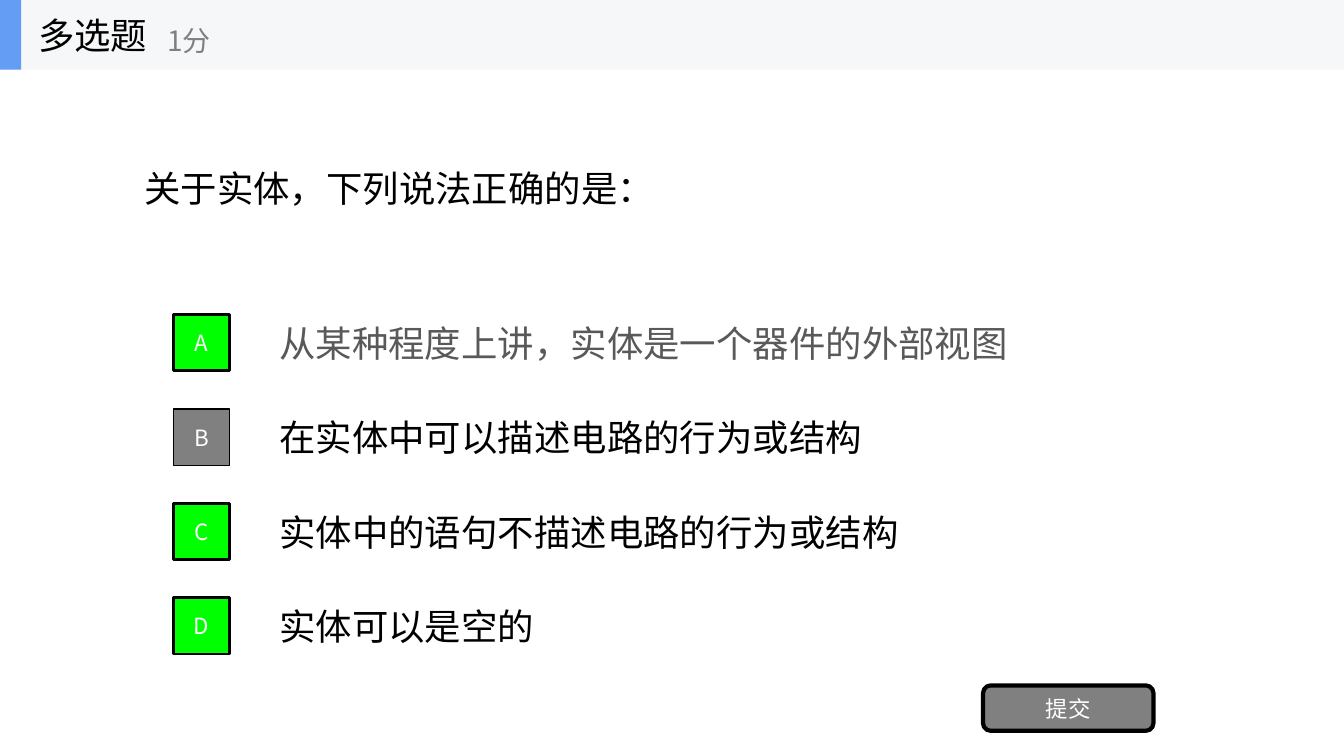
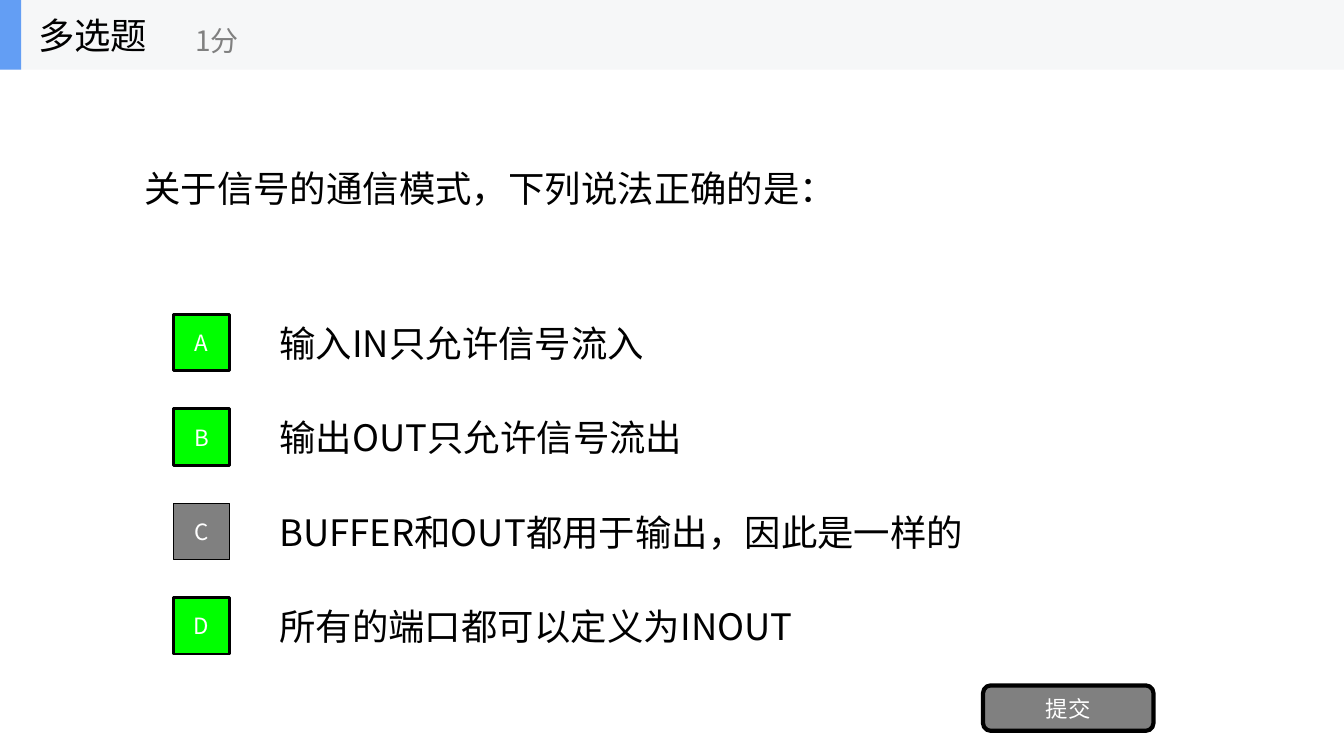
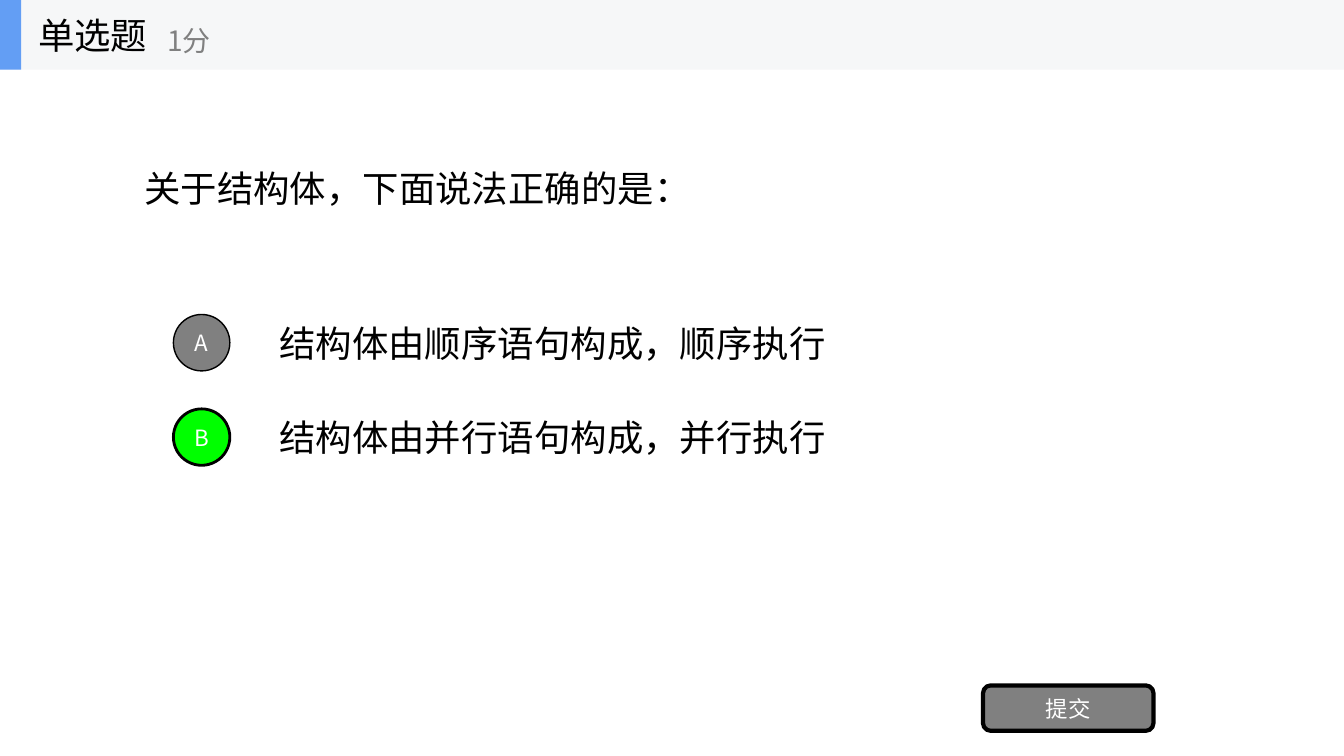
from dataclasses import dataclass

from lxml import etree
from pptx import Presentation
from pptx.dml.color import RGBColor
from pptx.enum import shapes as shp, text as txt
from pptx.oxml.ns import qn
from pptx.util import Inches, Pt

COLORS = {
    "ink": "000000", "muted_ink": "595959", "white": "FFFFFF", "gray": "808080",
    "correct": "00FF00", "band": "F6F7F8", "accent": "639EF4",
}
FONT = "Noto Sans CJK SC"
SLIDE_WIDTH, BAND_HEIGHT = 13.33, 0.69
FIRST_OPTION_TOP, OPTION_HEIGHT, OPTION_PITCH = 3.05, 0.7, 2.81 / 3
MARKER_SIZE = 0.56
RECT = shp.MSO_SHAPE.RECTANGLE
Box = tuple[float, float, float, float]


@dataclass(frozen=True)
class TextStyle:
    size: int = 26
    color: str = "ink"
    font: str = FONT
    centered: bool = False


@dataclass(frozen=True)
class Option:
    wording: str
    correct: bool = True
    style: TextStyle = TextStyle()


@dataclass(frozen=True)
class Question:
    category: str
    prompt: str
    options: list[Option]
    marker: shp.MSO_SHAPE = RECT
    points_left: float = 1.56


BUTTON_STYLE = TextStyle(16, "white", centered=True)

QUESTIONS = [
    Question("多选题", "关于实体，下列说法正确的是：", [
        Option("从某种程度上讲，实体是一个器件的外部视图",
               style=TextStyle(color="muted_ink", font="Arial")),
        Option("在实体中可以描述电路的行为或结构", correct=False),
        Option("实体中的语句不描述电路的行为或结构"),
        Option("实体可以是空的"),
    ]),
    Question("多选题", "关于信号的通信模式，下列说法正确的是：", [
        Option("输入IN只允许信号流入"),
        Option("输出OUT只允许信号流出"),
        Option("BUFFER和OUT都用于输出，因此是一样的", correct=False),
        Option("所有的端口都可以定义为INOUT"),
    ], points_left=1.84),
    Question("单选题", "关于结构体，下面说法正确的是：", [
        Option("结构体由顺序语句构成，顺序执行", correct=False),
        Option("结构体由并行语句构成，并行执行"),
    ], marker=shp.MSO_SHAPE.OVAL),
]


def rgb(name: str) -> RGBColor:
    return RGBColor.from_string(COLORS[name])


def write(shape, wording: str, style: TextStyle) -> None:
    """Put one formatted line of text into a shape, vertically centred."""
    frame = shape.text_frame
    frame.word_wrap = True
    frame.auto_size = txt.MSO_AUTO_SIZE.NONE
    frame.vertical_anchor = txt.MSO_ANCHOR.MIDDLE
    line = frame.paragraphs[0]
    line.alignment = txt.PP_ALIGN.CENTER if style.centered else txt.PP_ALIGN.LEFT
    run = line.add_run()
    run.text = wording
    run.font.size = Pt(style.size)
    run.font.bold = False
    run.font.color.rgb = rgb(style.color)
    run.font.name = style.font
    # East Asian glyphs take their own typeface
    etree.SubElement(run.font._element, qn("a:ea")).set("typeface", FONT)


def fill_placeholder(holder, box: Box, wording: str, style: TextStyle) -> None:
    holder.left, holder.top, holder.width, holder.height = map(Inches, box)
    write(holder, wording, style)
    line = holder.text_frame.paragraphs[0]
    line.space_before = Pt(0)
    # No bullet and no hanging indent
    properties = line._p.get_or_add_pPr()
    properties.set("marL", "0")
    properties.set("indent", "0")
    etree.SubElement(properties, qn("a:buNone"))


def add_block(parent, kind: shp.MSO_SHAPE, box: Box, fill: str, line_width: int = 0):
    block = parent.add_shape(kind, *map(Inches, box))
    block.shadow.inherit = False
    block.fill.solid()
    block.fill.fore_color.rgb = rgb(fill)
    if line_width:
        block.line.color.rgb = rgb("ink")
        block.line.width = Pt(line_width)
    else:
        block.line.fill.background()
    return block


def add_header(slide, question: Question) -> None:
    header = slide.shapes.add_group_shape().shapes
    add_block(header, RECT, (0, 0, SLIDE_WIDTH, BAND_HEIGHT), "band")
    add_block(header, RECT, (0, 0, 0.21, BAND_HEIGHT), "accent")
    category = header.add_textbox(*map(Inches, (0.28, 0, 2.08, BAND_HEIGHT)))
    write(category, question.category, TextStyle())
    points = header.add_textbox(*map(Inches, (question.points_left, 0.12, 2.5, 0.56)))
    write(points, "1分", TextStyle(20, "gray"))


def add_question(deck, question: Question) -> None:
    # The comparison layout offers a title and four body placeholders
    slide = deck.slides.add_slide(deck.slide_layouts.get_by_name("Comparison"))
    prompt, *bodies = slide.placeholders
    fill_placeholder(prompt, (1.33, BAND_HEIGHT, 10.67, 2.34), question.prompt, TextStyle())

    # Options with their letter markers
    for row, (body, option) in enumerate(zip(bodies, question.options)):
        top = FIRST_OPTION_TOP + row * OPTION_PITCH
        fill_placeholder(body, (2.67, top, 9.33, OPTION_HEIGHT), option.wording, option.style)
        marker_top = top + (OPTION_HEIGHT - MARKER_SIZE) / 2
        marker = add_block(slide.shapes, question.marker,
                           (1.72, marker_top, MARKER_SIZE, MARKER_SIZE),
                           "correct" if option.correct else "gray",
                           2 if option.correct else 1)
        write(marker, "ABCD"[row], BUTTON_STYLE)
    for unused in bodies[len(question.options):]:
        unused._element.getparent().remove(unused._element)

    # Submit button
    submit = add_block(slide.shapes, shp.MSO_SHAPE.ROUNDED_RECTANGLE,
                       (9.75, 6.8, 1.69, 0.45), "gray", 3)
    write(submit, "提交", BUTTON_STYLE)
    add_header(slide, question)


def main() -> None:
    deck = Presentation()
    deck.slide_width, deck.slide_height = Inches(SLIDE_WIDTH), Inches(7.5)
    for question in QUESTIONS:
        add_question(deck, question)
    deck.save("out.pptx")


if __name__ == "__main__":
    main()
